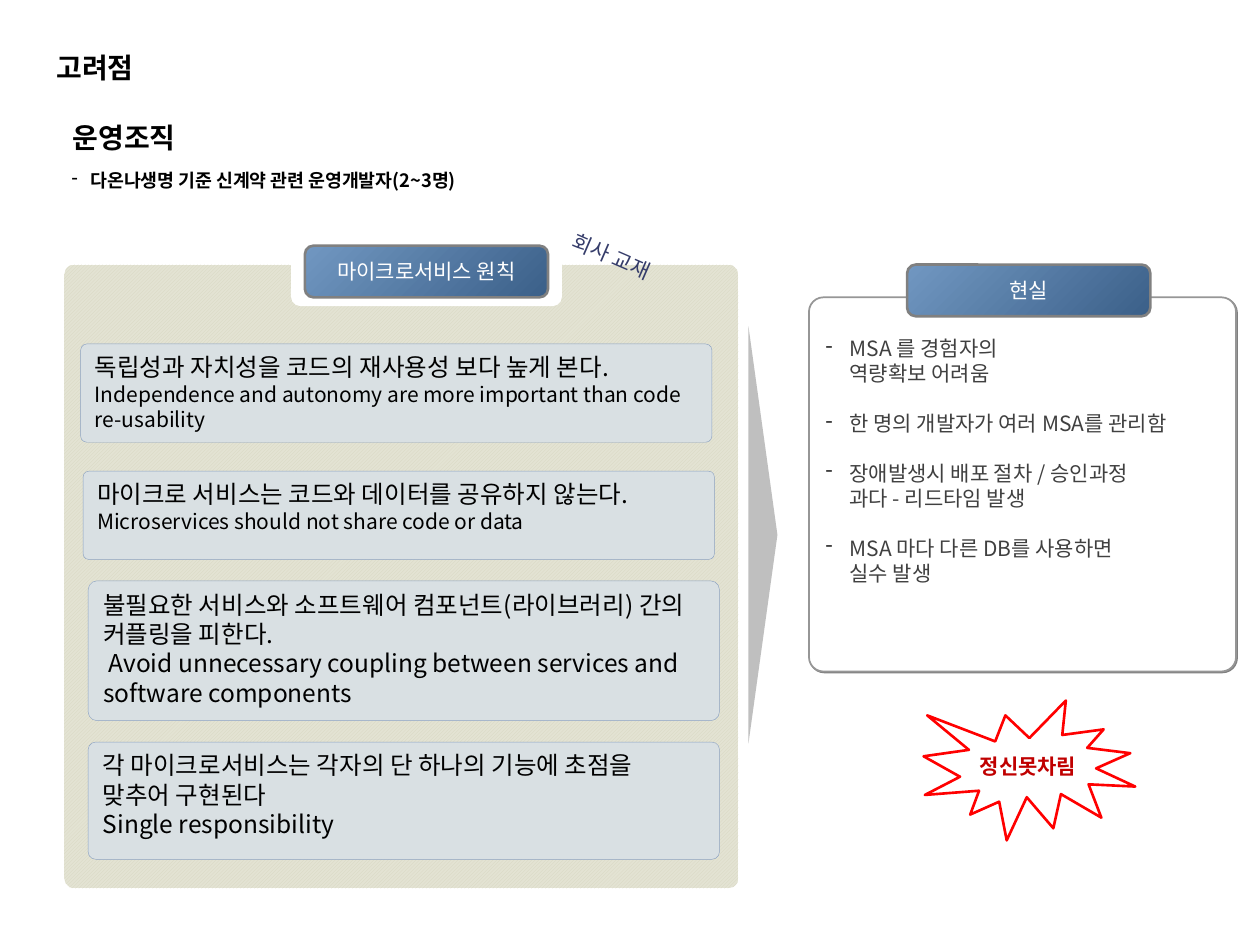
"""Build the slide comparing microservice principles with operating reality."""
import lxml.etree
import pptx
import pptx.dml.color
import pptx.enum.dml
import pptx.enum.shapes
import pptx.enum.text
import pptx.oxml.ns
import pptx.util

Inches = pptx.util.Inches
Pt = pptx.util.Pt
qn = pptx.oxml.ns.qn
kinds = pptx.enum.shapes.MSO_SHAPE
anchors = pptx.enum.text.MSO_ANCHOR
aligns = pptx.enum.text.PP_ALIGN
FONT = "Noto Sans CJK KR"


def color(code):
    return pptx.dml.color.RGBColor.from_string(code)


def write(box, lines, ink="000000", bold=False, centered=False, insets=(0.1, 0.05, 0.1, 0.05)):
    frame = box.text_frame
    left, top, right, bottom = insets
    frame_format = {
        "word_wrap": True,
        "margin_left": Inches(left),
        "margin_top": Inches(top),
        "margin_right": Inches(right),
        "margin_bottom": Inches(bottom),
        "vertical_anchor": anchors.MIDDLE if centered else anchors.TOP,
    }
    for name, value in frame_format.items():
        setattr(frame, name, value)
    for index, (text, size, options) in enumerate(lines):
        para = frame.add_paragraph() if index else frame.paragraphs[0]
        para_format = {
            "text": text,
            "alignment": aligns.CENTER if centered else aligns.LEFT,
            "line_spacing": Pt(options.get("leading", size * 1.2)),
            "space_before": Pt(options.get("before", 0)),
        }
        for name, value in para_format.items():
            setattr(para, name, value)
        properties = para._p.get_or_add_pPr()
        properties.set("marL", str(Inches(options.get("margin", 0))))
        properties.set("indent", str(Inches(options.get("indent", 0))))
        if "indent" in options:
            lxml.etree.SubElement(properties, qn("a:buChar")).set("char", "-")
        for span in para.runs:
            for name, value in {"name": FONT, "size": Pt(size), "bold": bold}.items():
                setattr(span.font, name, value)
            span.font.color.rgb = color(ink)
            east = lxml.etree.SubElement(span._r.get_or_add_rPr(), qn("a:ea"))
            east.set("typeface", FONT)


deck = pptx.Presentation()
deck.slide_width, deck.slide_height = Inches(10), Inches(7.5)
page = deck.slides.add_slide(deck.slide_layouts[6])

subtitle_lines = [
    ("운영조직", 16, {"leading": 30, "margin": 0.05}),
    ("다온나생명 기준 신계약 관련 운영개발자(2~3명)", 10.5,
     {"leading": 21, "margin": 0.19, "indent": -0.15}),
]
labels = [
    ((0.35, 0.33, 4.51, 0.37), 0, [("고려점", 16, {})],
     {"bold": True, "insets": (0.1, 0.07, 0.1, 0.05)}),
    ((0.43, 0.76, 9.15, 0.94), 0, subtitle_lines, {"bold": True}),
    ((4.38, 1.88, 0.95, 0.3), 23.4, [("회사 교재", 12, {})],
     {"ink": "353C6A", "centered": True}),
]

principles = [
    ((0.64, 2.73, 5.01, 0.78), 12, "독립성과 자치성을 코드의 재사용성 보다 높게 본다.",
     "Independence and autonomy are more important than code re-usability"),
    ((0.66, 3.74, 5.01, 0.7), 12, "마이크로 서비스는 코드와 데이터를 공유하지 않는다.",
     "Microservices should not share code or data"),
    ((0.7, 4.61, 5.01, 1.11), 14, "불필요한 서비스와 소프트웨어 컴포넌트(라이브러리) 간의 커플링을 피한다.",
     " Avoid unnecessary coupling between services and software components"),
    ((0.7, 5.89, 5.01, 0.93), 14, "각 마이크로서비스는 각자의 단 하나의 기능에 초점을 맞추어 구현된다",
     "Single responsibility"),
]
realities = [
    "MSA 를 경험자의\v역량확보 어려움",
    "한 명의 개발자가 여러 MSA를 관리함",
    "장애발생시 배포 절차 / 승인과정\v과다 - 리드타임 발생",
    "MSA 마다 다른 DB를 사용하면\v실수 발생",
]
reality_lines = [
    (text, 12, {"margin": 0.19, "indent": -0.19, "before": 14 if index else 0})
    for index, text in enumerate(realities)
]

rounded = kinds.ROUNDED_RECTANGLE
header = {"kind": rounded, "adjust": 0.167, "fill": ("7197C1", "3B6089"), "line": ("808080", 1.5)}
header_text = {"ink": "FFFFFF", "centered": True}
shapes = [
    {"kind": rounded, "at": (0.51, 2.1, 5.35, 4.95), "adjust": 0.016,
     "pattern": ("D7D6BF", "E3E3D3")},
    {"kind": rounded, "at": (2.31, 1.98, 2.15, 0.45), "adjust": 0.167, "fill": "FFFFFF"},
    {**header, "at": (2.42, 1.95, 1.93, 0.41),
     "lines": [("마이크로서비스 원칙", 12, {})], "text": header_text},
]
for at, size, korean, english in principles:
    shapes.append({
        "kind": rounded, "at": at, "adjust": 0.063, "fill": "D9E0E3", "line": ("8CA2C2", 0.25),
        "lines": [(korean, 14, {}), (english, size, {})],
        "text": {"insets": (0.1, 0.05, 0.1, 0.05)},
    })
shapes += [
    {"kind": kinds.EXPLOSION1, "at": (7.33, 5.56, 1.68, 1.11), "fill": "FFFFFF",
     "line": ("FF0000", 1.5), "lines": [("정신못차림", 12, {})],
     "text": {"ink": "C00000", "bold": True, "centered": True, "insets": (0, 0, 0, 0)}},
    {"kind": kinds.ISOSCELES_TRIANGLE, "at": (4.4, 4.13, 3.31, 0.23), "turn": 90,
     "fill": "BFBFBF"},
    {"kind": rounded, "at": (6.42, 2.36, 3.39, 2.97), "adjust": 0.039, "fill": "FFFFFF",
     "line": ("969696", 1), "shadow": "808080", "lines": reality_lines,
     "text": {"ink": "404040", "insets": (0.1, 0.27, 0.1, 0.05)}},
    {**header, "at": (7.2, 2.1, 1.93, 0.41), "lines": [("현실", 12, {})], "text": header_text},
]

for item in shapes:
    shape = page.shapes.add_shape(item["kind"], *map(Inches, item["at"]))
    shape.shadow.inherit = False
    shape.rotation = item.get("turn", 0)
    if "adjust" in item:
        shape.adjustments[0] = item["adjust"]
    if "pattern" in item:
        shape.fill.patterned()
        shape.fill.pattern = pptx.enum.dml.MSO_PATTERN.DARK_UPWARD_DIAGONAL
        shape.fill.fore_color.rgb, shape.fill.back_color.rgb = map(color, item["pattern"])
    elif isinstance(item["fill"], tuple):
        shape.fill.gradient()
        shape.fill.gradient_angle = 315
        for stop, code in zip(shape.fill.gradient_stops, item["fill"]):
            stop.color.rgb = color(code)
    else:
        shape.fill.solid()
        shape.fill.fore_color.rgb = color(item["fill"])
    if "line" in item:
        code, width = item["line"]
        shape.line.color.rgb = color(code)
        shape.line.width = Pt(width)
    else:
        shape.line.fill.background()
    if "shadow" in item:
        effects = shape._element.spPr.find(qn("a:effectLst"))
        shade = lxml.etree.SubElement(effects, qn("a:outerShdw"))
        for name, value in {"dist": Pt(0.8), "dir": 45 * 60000, "algn": "ctr"}.items():
            shade.set(name, str(value))
        lxml.etree.SubElement(shade, qn("a:srgbClr")).set("val", item["shadow"])
    if "lines" in item:
        write(shape, item["lines"], **item["text"])

for at, turn, lines, text_format in labels:
    label = page.shapes.add_textbox(*map(Inches, at))
    label.rotation = turn
    write(label, lines, **text_format)

deck.save("out.pptx")
